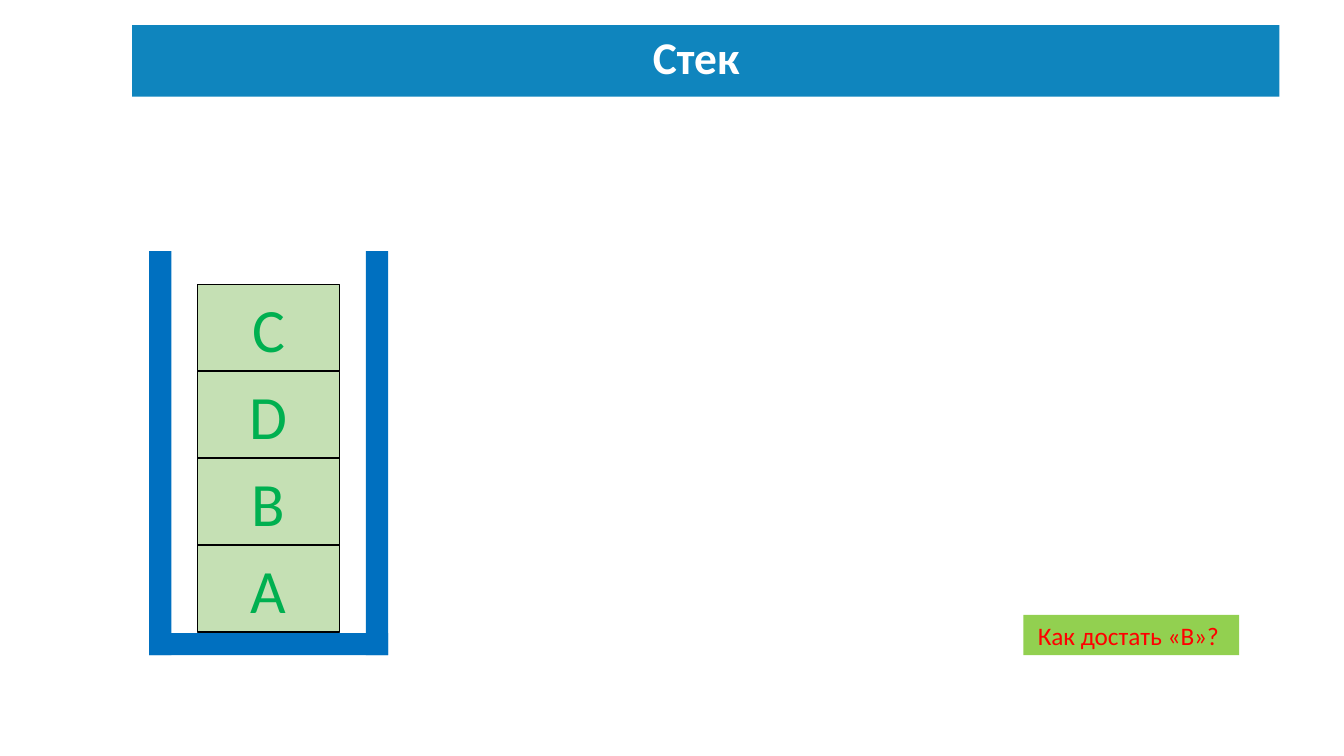
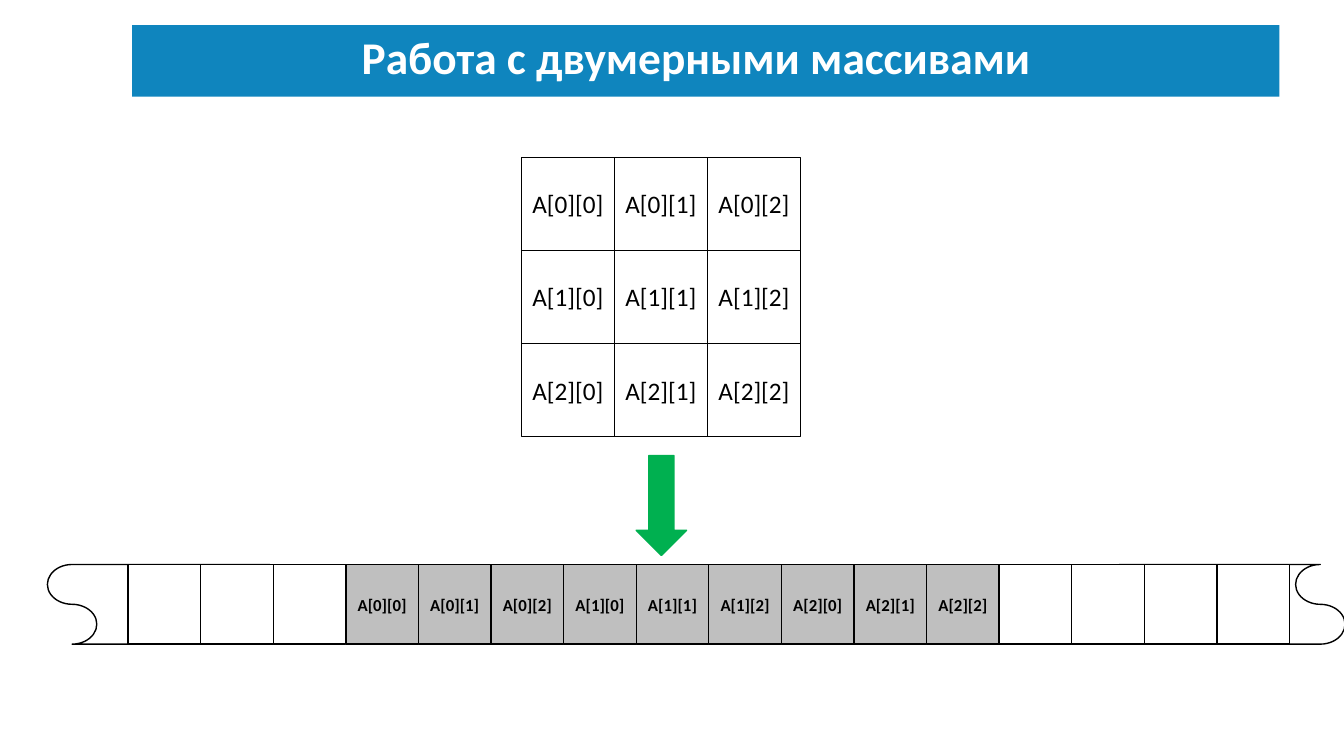
from itertools import product

from pptx import Presentation
from pptx.dml.color import RGBColor
from pptx.enum.shapes import MSO_SHAPE
from pptx.enum.text import MSO_ANCHOR, MSO_AUTO_SIZE, PP_ALIGN
from pptx.util import Inches, Pt

FONT = "Calibri"
WHITE = RGBColor(0xFF, 0xFF, 0xFF)
BLACK = RGBColor(0x00, 0x00, 0x00)
BAND_BLUE = RGBColor(0x0F, 0x85, 0xBE)
WALL_BLUE = RGBColor(0x00, 0x70, 0xC0)
PALE_GREEN = RGBColor(0xC5, 0xE0, 0xB4)
GREEN = RGBColor(0x00, 0xB0, 0x50)
LIME = RGBColor(0x92, 0xD0, 0x50)
RED = RGBColor(0xFF, 0x00, 0x00)
GRAY = RGBColor(0xBF, 0xBF, 0xBF)

MATRIX_SIZE = 3
LABELS = [f"A[{row}][{column}]" for row, column in product(range(MATRIX_SIZE), repeat=2)]


def add_box(shapes, left, top, width, height, fill=None, line=None, kind=MSO_SHAPE.RECTANGLE):
    shape = shapes.add_shape(kind, Inches(left), Inches(top), Inches(width), Inches(height))
    shape.shadow.inherit = False
    if fill is None:
        shape.fill.background()
    else:
        shape.fill.solid()
        shape.fill.fore_color.rgb = fill
    if line is None:
        shape.line.fill.background()
    else:
        shape.line.color.rgb = line
        shape.line.width = Pt(1)
    return shape


def write(shape, text, size, color, bold=False):
    text_frame = shape.text_frame
    text_frame.text = text
    text_frame.word_wrap = True
    text_frame.vertical_anchor = MSO_ANCHOR.MIDDLE
    paragraph = text_frame.paragraphs[0]
    paragraph.alignment = PP_ALIGN.CENTER
    font = paragraph.runs[0].font
    font.name = FONT
    font.size = Pt(size)
    font.bold = bold
    font.color.rgb = color
    return text_frame


def add_cell(shapes, left, top, width, height, text, size, fill=None, color=BLACK, bold=False):
    cell = add_box(shapes, left, top, width, height, fill, BLACK)
    text_frame = write(cell, text, size, color, bold)
    text_frame.margin_left = text_frame.margin_right = 0


def add_titled_slide(presentation, title):
    slide = presentation.slides.add_slide(presentation.slide_layouts[6])
    add_box(slide.shapes, 1.31, 0.25, 11.38, 0.71, BAND_BLUE)
    title_box = slide.shapes.add_textbox(Inches(1.31), Inches(0.32), Inches(11.19), Inches(0.55))
    text_frame = write(title_box, title, 32.4, WHITE, bold=True)
    text_frame.paragraphs[0].line_spacing = 0.9
    return slide


def add_container(slide, left, top, width, height, wall=0.22):
    shapes = slide.shapes.add_group_shape().shapes
    for wall_left in (left, left + width - wall):
        add_box(shapes, wall_left, top, wall, height, WALL_BLUE)
    add_box(shapes, left, top + height - wall, width, wall, WALL_BLUE)


def add_stack(slide, left, top, width, height, items):
    item_height = height / len(items)
    for index, item in enumerate(items):
        add_cell(slide.shapes, left, top + index * item_height, width, item_height,
                 item, 44, PALE_GREEN, GREEN)


def add_question(slide, left, top, width, height, text):
    question = add_box(slide.shapes, left, top, width, height, LIME)
    text_frame = write(question, text, 18, RED)
    text_frame.vertical_anchor = MSO_ANCHOR.TOP
    text_frame.auto_size = MSO_AUTO_SIZE.SHAPE_TO_FIT_TEXT


def add_matrix(slide, left, top, side):
    shapes = slide.shapes.add_group_shape().shapes
    cell_side = side / MATRIX_SIZE
    for index, label in enumerate(LABELS):
        row, column = divmod(index, MATRIX_SIZE)
        add_cell(shapes, left + column * cell_side, top + row * cell_side,
                 cell_side, cell_side, label, 18)


def add_memory_tape(slide, left, top, width, height):
    shapes = slide.shapes.add_group_shape().shapes
    end_length = 2.45
    for end_left in (left, left + width - end_length):
        turn = (end_length - height) / 2
        tape_end = add_box(shapes, end_left + turn, top - turn, height, end_length,
                           WHITE, BLACK, MSO_SHAPE.FLOWCHART_PUNCHED_TAPE)
        tape_end.rotation = 270
    cell_count, first_used, cell_width = 16, 3, 0.72
    for index in range(cell_count):
        cell_left = left + 0.8 + index * cell_width
        if first_used <= index < first_used + len(LABELS):
            add_cell(shapes, cell_left, top, cell_width, height,
                     LABELS[index - first_used], 12, GRAY, bold=True)
        else:
            add_box(shapes, cell_left, top, cell_width, height, WHITE, BLACK)


def build_stack_slide(presentation):
    slide = add_titled_slide(presentation, "Стек")
    add_stack(slide, 1.96, 2.82, 1.41, 3.45, "CDBA")
    add_container(slide, 1.48, 2.49, 2.37, 4.01)
    add_question(slide, 10.15, 6.1, 2.14, 0.4, "Как достать «B»? ")


def build_matrix_slide(presentation):
    slide = add_titled_slide(presentation, "Работа с двумерными массивами")
    add_matrix(slide, 5.17, 1.56, 2.77)
    add_memory_tape(slide, 0.47, 5.6, 12.87, 0.79)
    add_box(slide.shapes, 6.31, 4.52, 0.5, 0.99, GREEN, GREEN, MSO_SHAPE.DOWN_ARROW)


def main():
    presentation = Presentation()
    presentation.slide_width = Inches(13.33)
    presentation.slide_height = Inches(7.5)
    build_stack_slide(presentation)
    build_matrix_slide(presentation)
    presentation.save("out.pptx")


if __name__ == "__main__":
    main()
